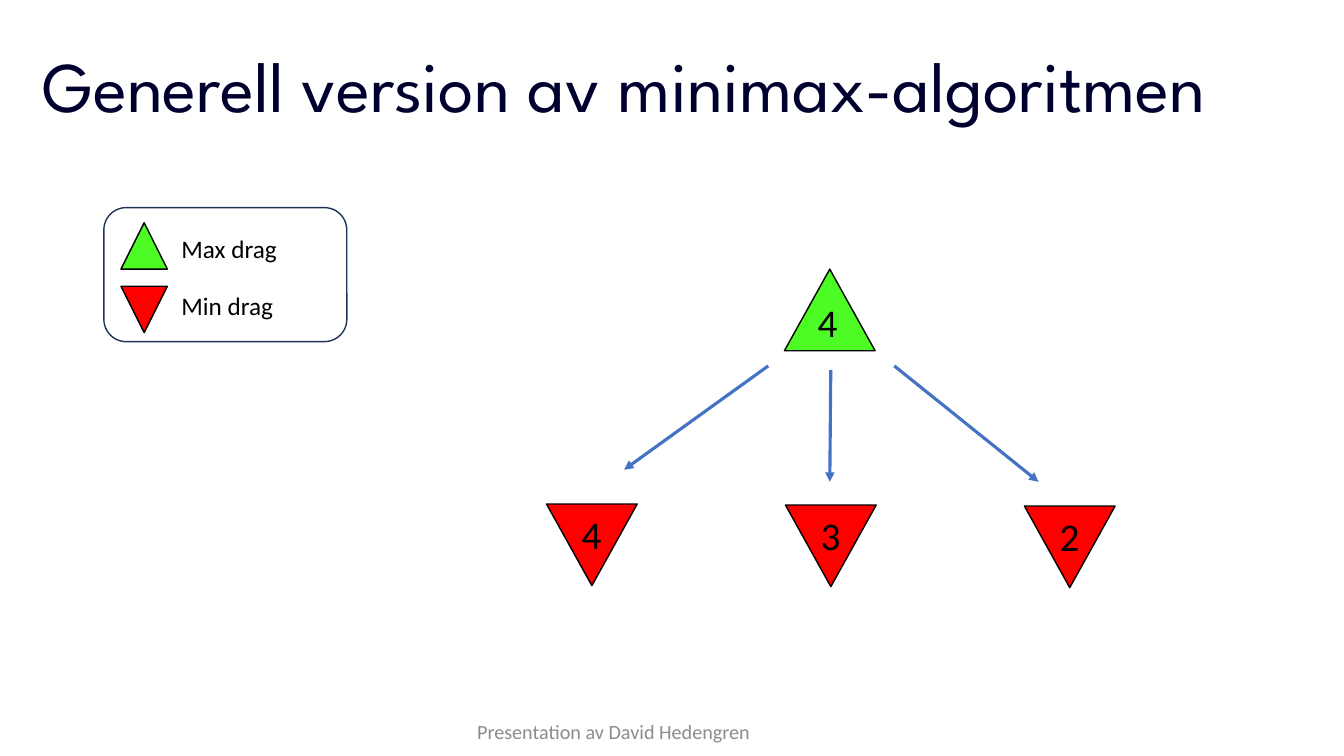
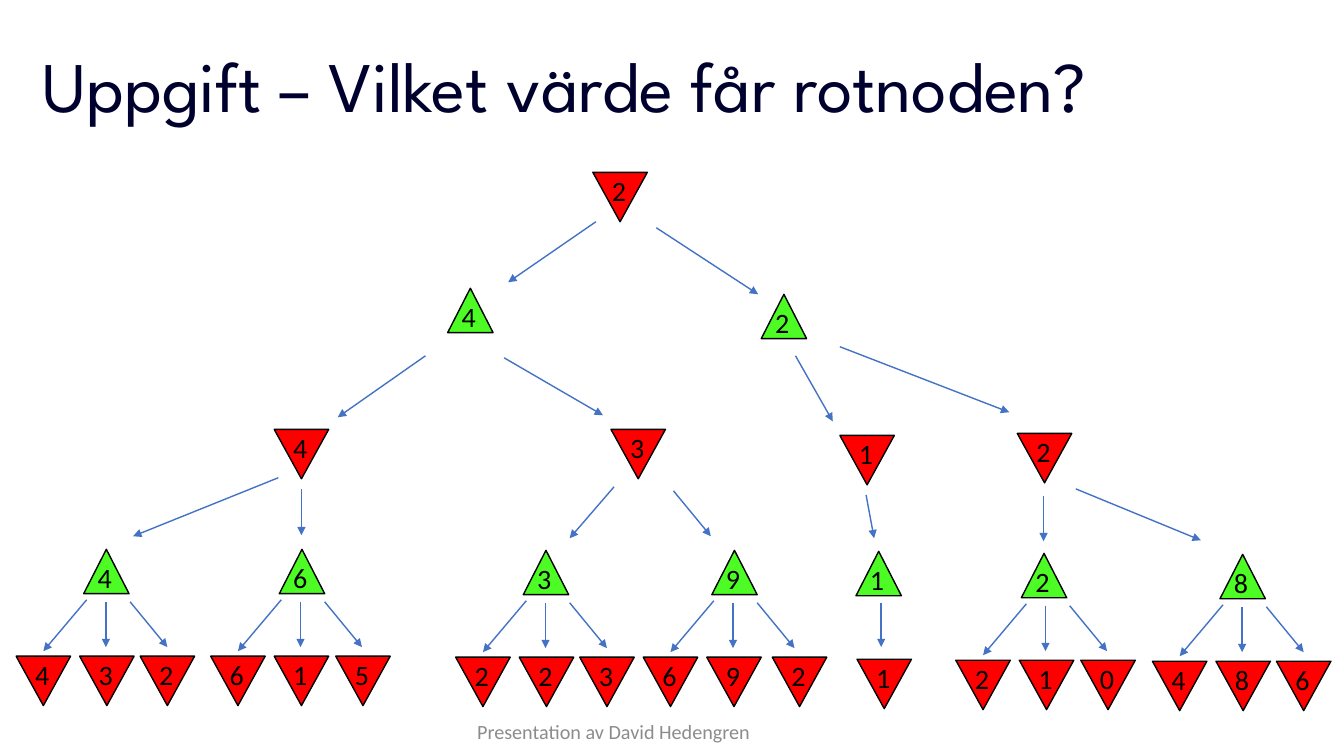
import pptx
import pptx.dml.color
import pptx.enum.shapes
import pptx.enum.text
import pptx.oxml
import pptx.oxml.ns
import pptx.util

PX = 9144  # 100 px to the inch
COLOURS = {
    "title": "00002E", "text": "000000", "footer": "8C8C8C",
    "max": "4DFC24", "min": "FF0000", "outline": "000000",
    "arrow": "4472C4", "legend": "FFFFFF", "legend line": "1E3256",
}
SHAPES = pptx.enum.shapes.MSO_SHAPE
ALIGN = pptx.enum.text.PP_ALIGN
ANCHOR = pptx.enum.text.MSO_ANCHOR
AUTO_SIZE = pptx.enum.text.MSO_AUTO_SIZE

# For each size and kind of node: width, height, value offset across and down
NODE_SIZES = {
    ("large", "max"): (90, 81, 23, 24), ("large", "min"): (90, 81, 25, 1),
    ("small", "max"): (45, 44, 4, 6), ("small", "min"): (54, 49, 9, -4),
}
# For each size: value font size, value box width and height
VALUE_SIZES = {"large": (28, 58, 57), "small": (20, 58, 44)}

GENERAL_NODES = [
    ("max", 778, 267, "4"), ("min", 542, 500, "4"),
    ("min", 779, 501, "3"), ("min", 1016, 502, "2"),
]
GENERAL_ARROWS = [
    (762, 363, 619, 466), (887, 363, 1030, 478), (824, 367, 823, 478),
]

TREE_NODES = [
    ("min", 588, 171, "2"),
    ("max", 444, 286, "4"), ("max", 755, 292, "2"),
    ("min", 272, 426, "4"), ("min", 606, 426, "3"),
    ("min", 833, 432, "1"), ("min", 1009, 430, "2"),
    ("max", 849, 547, "1"), ("min", 850, 654, "1"),
]
TREE_ARROWS = [
    (591, 220, 504, 280), (651, 226, 752, 292),
    (422, 353, 335, 414), (500, 355, 598, 412),
    (789, 353, 826, 418), (833, 344, 1001, 409),
    (276, 474, 132, 532), (299, 485, 299, 531),
    (609, 483, 565, 534), (668, 487, 705, 532),
    (859, 491, 867, 534), (874, 598, 874, 642),
    (1035, 492, 1035, 537), (1067, 485, 1191, 536),
]
# Max nodes with three leaves: left, top, value, {leaf left: leaf value}
FAMILIES = [
    (83, 545, "4", {16: "4", 79: "3", 139: "2"}),
    (277, 545, "6", {209: "6", 272: "1", 333: "5"}),
    (519, 546, "3", {452: "2", 515: "2", 575: "3"}),
    (706, 546, "9", {638: "6", 701: "9", 766: "2"}),
    (1013, 549, "2", {948: "2", 1011: "1", 1072: "0"}),
    (1210, 550, "8", {1143: "4", 1206: "8", 1266: "6"}),
]
# Arrow ends, measured from the middle leaf's left and the parent's top
FAMILY_ARROWS = [(7, 50, -36, 101), (26, 52, 26, 97), (50, 52, 87, 97)]
LEAF_DROP = 106


def px(*lengths):
    return [pptx.util.Emu(length * PX) for length in lengths]


def rgb(colour):
    return pptx.dml.color.RGBColor.from_string(COLOURS[colour])


def format_text(paragraph, size, font_name, colour):
    for run in paragraph.runs:
        run.font.size = pptx.util.Pt(size)
        run.font.name = font_name
        run.font.color.rgb = rgb(colour)


def add_label(slide, box, text, size, colour="text", align=ALIGN.LEFT,
              anchor=ANCHOR.TOP):
    frame = slide.shapes.add_textbox(*px(*box)).text_frame
    frame.word_wrap = True
    frame.vertical_anchor = anchor
    frame.text = text
    frame.paragraphs[0].alignment = align
    format_text(frame.paragraphs[0], size, "Calibri", colour)


def add_outlined(slide, preset, box, fill, line):
    shape = slide.shapes.add_shape(preset, *px(*box))
    shape.shadow.inherit = False
    shape.fill.solid()
    shape.fill.fore_color.rgb = rgb(fill)
    shape.line.color.rgb = rgb(line)
    shape.line.width = pptx.util.Pt(1)
    return shape


def add_triangle(slide, kind, box):
    """Draw a max triangle pointing up or a min triangle pointing down."""
    triangle = add_outlined(slide, SHAPES.ISOSCELES_TRIANGLE, box, kind, "outline")
    if kind == "min":
        triangle.rotation = 180


def add_node(slide, size, kind, left, top, value):
    width, height, across, down = NODE_SIZES[size, kind]
    add_triangle(slide, kind, (left, top, width, height))
    font_size, value_width, value_height = VALUE_SIZES[size]
    add_label(slide, (left + across, top + down, value_width, value_height),
              value, font_size)


def add_arrow(slide, ends, width):
    arrow = slide.shapes.add_connector(
        pptx.enum.shapes.MSO_CONNECTOR.STRAIGHT, *px(*ends))
    arrow.line.color.rgb = rgb("arrow")
    arrow.line.width = pptx.util.Pt(width)
    head = pptx.oxml.parse_xml(
        f'<a:tailEnd {pptx.oxml.ns.nsdecls("a")} type="triangle"/>')
    arrow.line._get_or_add_ln().append(head)
    arrow._element.spPr.append(pptx.oxml.parse_xml(
        f'<a:effectLst {pptx.oxml.ns.nsdecls("a")}/>'))


def add_tree(slide, size, nodes, arrows, arrow_width):
    for ends in arrows:
        add_arrow(slide, ends, arrow_width)
    for node in nodes:
        add_node(slide, size, *node)


def add_family(slide, left, top, value, leaves):
    """Draw a small max node, its three arrows and its three leaves."""
    middle = list(leaves)[1]
    arrows = [(middle + x1, top + y1, middle + x2, top + y2)
              for x1, y1, x2, y2 in FAMILY_ARROWS]
    nodes = [("max", left, top, value)]
    nodes += [("min", leaf_left, top + LEAF_DROP, leaf_value)
              for leaf_left, leaf_value in leaves.items()]
    add_tree(slide, "small", nodes, arrows, 1)


def add_legend(slide):
    add_outlined(slide, SHAPES.ROUNDED_RECTANGLE, (103, 206, 241, 133),
                 "legend", "legend line")
    for kind, text, top, text_top in [("max", "Max drag", 221, 227),
                                      ("min", "Min drag", 284, 283)]:
        add_triangle(slide, kind, (120, top, 46, 46))
        add_label(slide, (170, text_top, 191, 40), text, 18)


def add_slide(deck, title_text):
    """Add a slide with the shared title style and footer."""
    slide = deck.slides.add_slide(deck.slide_layouts[5])
    title = slide.shapes.title
    title.left, title.top, title.width, title.height = px(42, 37, 1279, 107)
    frame = title.text_frame
    frame.margin_left = frame.margin_right = 0
    frame.margin_top = frame.margin_bottom = 0
    frame.word_wrap = True
    frame.auto_size = AUTO_SIZE.NONE
    frame.vertical_anchor = ANCHOR.TOP
    frame.text = title_text
    heading = frame.paragraphs[0]
    heading.alignment = ALIGN.LEFT
    heading.line_spacing = pptx.util.Pt(63.8)
    format_text(heading, 50.8, "League Spartan", "title")
    add_label(slide, (303, 702, 611, 48), "Presentation av David Hedengren",
              14.4, "footer", ALIGN.CENTER, ANCHOR.MIDDLE)
    return slide


def main():
    deck = pptx.Presentation()
    deck.slide_width, deck.slide_height = px(1333, 750)

    general = add_slide(deck, "Generell version av minimax-algoritmen")
    add_legend(general)
    add_tree(general, "large", GENERAL_NODES, GENERAL_ARROWS, 2.25)

    exercise = add_slide(deck, "Uppgift – Vilket värde får rotnoden?")
    add_tree(exercise, "small", TREE_NODES, TREE_ARROWS, 1)
    for family in FAMILIES:
        add_family(exercise, *family)

    deck.save("out.pptx")


if __name__ == "__main__":
    main()
